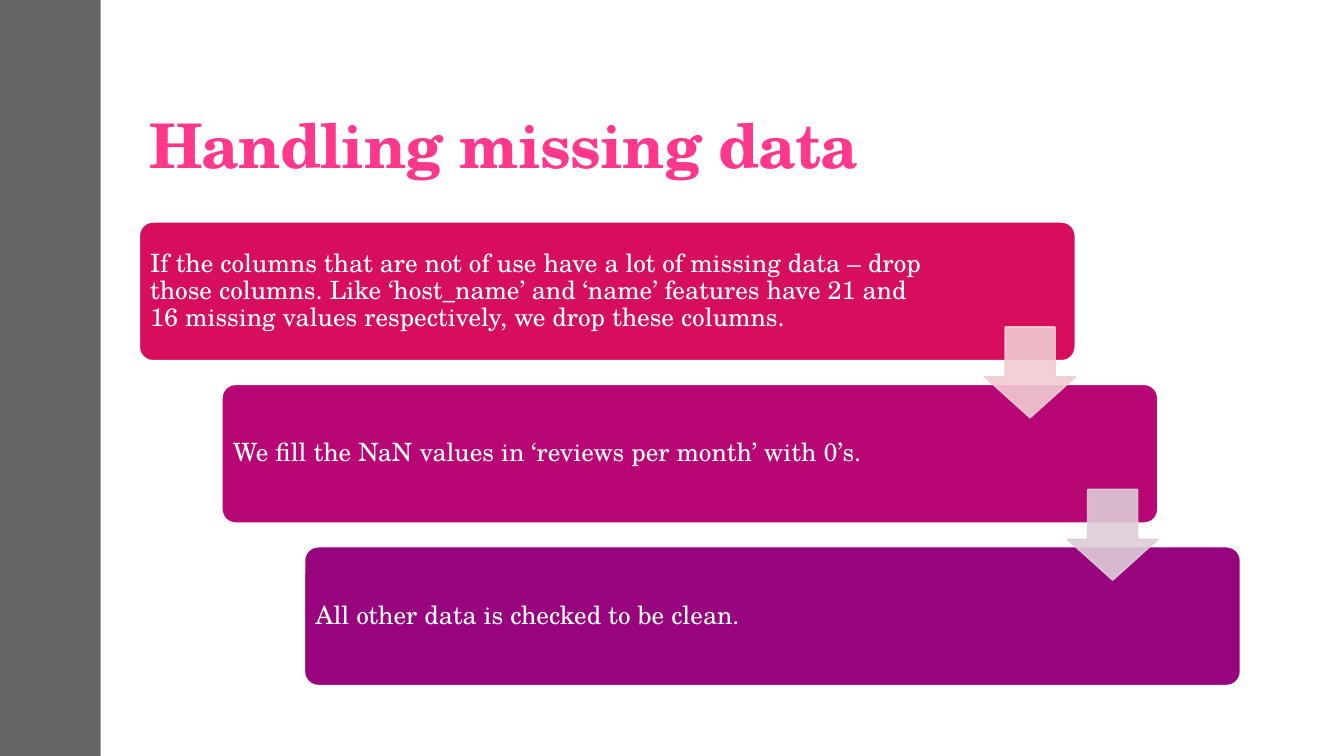
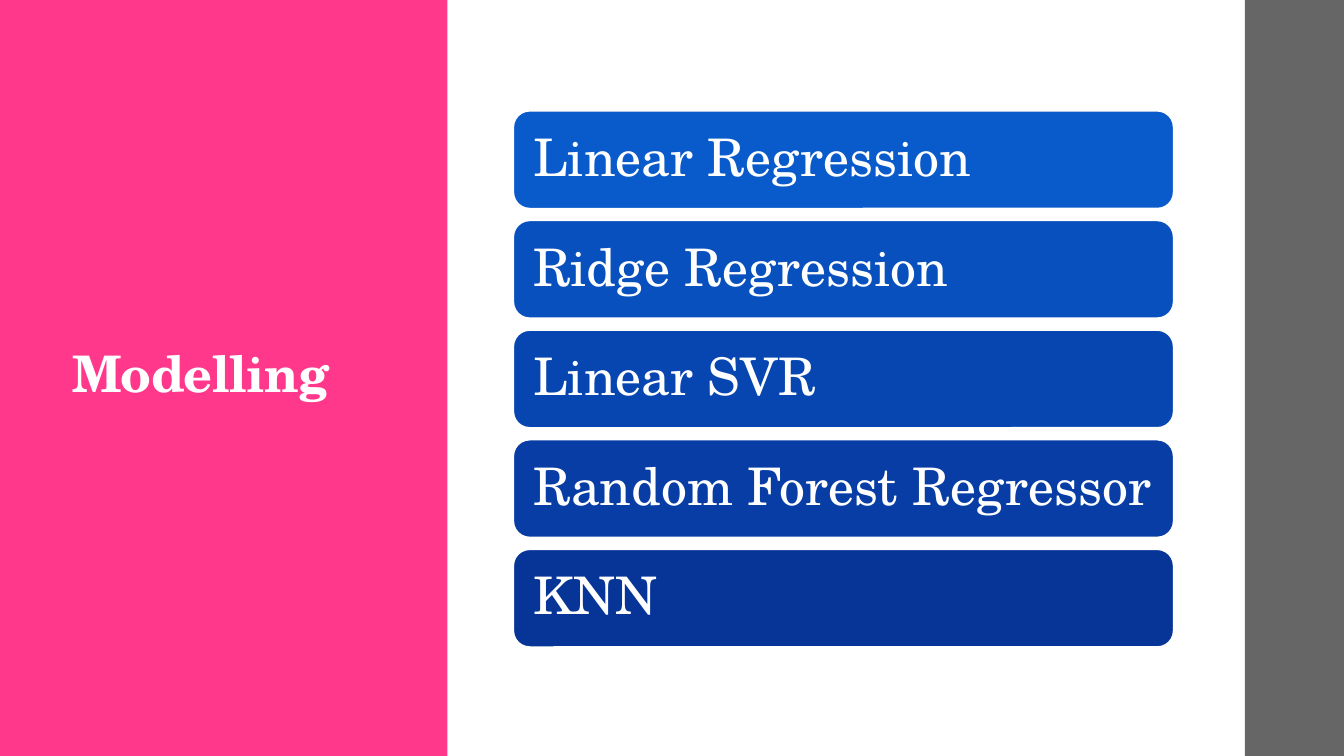
from dataclasses import dataclass

from lxml import etree
from pptx import Presentation
from pptx.dml.color import RGBColor
from pptx.enum.shapes import MSO_SHAPE
from pptx.enum.text import MSO_ANCHOR, PP_ALIGN
from pptx.oxml.ns import qn
from pptx.util import Pt

RECTANGLE = MSO_SHAPE.RECTANGLE
ROUNDED = MSO_SHAPE.ROUNDED_RECTANGLE
DOWN_ARROW = MSO_SHAPE.DOWN_ARROW
MIDDLE, BOTTOM = MSO_ANCHOR.MIDDLE, MSO_ANCHOR.BOTTOM
LEFT = PP_ALIGN.LEFT


@dataclass(frozen=True)
class Theme:
    font: str = "TeX Gyre Schola"
    white: str = "FFFFFF"
    pink: str = "FF388C"
    grey: str = "666666"
    title_size: float = 44
    side_title_size: float = 36
    step_size: float = 18
    model_size: float = 37
    title_spacing: float = -0.5


THEME = Theme()
SLIDE_WIDTH, SLIDE_HEIGHT = 960, 540
TITLE_MARGINS = (7.2, 2.2, 7.2, 3.6)

STEPS_TITLE = "Handling missing data"
STEPS = [
    ("If the columns that are not of use have a lot of missing data – drop those "
     "columns. Like ‘host_name’ and ‘name’ features have 21 and 16 missing values "
     "respectively, we drop these columns.", "D70D5E"),
    ("We fill the NaN values in ‘reviews per month’ with 0’s.", "B80774"),
    ("All other data is checked to be clean.", "98037E"),
]
STEP_ARROWS = ["F0CCD2", "DDCCD8"]

MODELS_TITLE = "Modelling"
MODELS = [
    ("Linear Regression", "095ACA"),
    ("Ridge Regression", "0850BD"),
    ("Linear SVR", "0746B1"),
    ("Random Forest Regressor", "073DA4"),
    ("KNN", "063597"),
]


def add_block(page, preset, area, fill, line=None, line_width=1.1):
    block = page.shapes.add_shape(preset, *(Pt(length) for length in area))
    block.shadow.inherit = False
    block.fill.solid()
    block.fill.fore_color.rgb = RGBColor.from_string(fill)
    if line:
        block.line.color.rgb = RGBColor.from_string(line)
        block.line.width = Pt(line_width)
    else:
        block.line.fill.background()
    return block


def write(box, text, size, color, margins, anchor=MIDDLE, bold=False, spacing=0):
    """Set one left-aligned paragraph; margins run left, top, right, bottom."""
    frame = box.text_frame
    frame.word_wrap = True
    frame.vertical_anchor = anchor
    (frame.margin_left, frame.margin_top,
     frame.margin_right, frame.margin_bottom) = (Pt(margin) for margin in margins)
    para = frame.paragraphs[0]
    para.alignment = LEFT
    para.line_spacing = 0.9
    span = para.add_run()
    span.text = text
    span.font.name = THEME.font
    span.font.size = Pt(size)
    span.font.bold = bold
    span.font.color.rgb = RGBColor.from_string(color)
    if spacing:
        span.font._element.set("spc", str(round(spacing * 100)))


def add_title(page, text, area, size, color, anchor):
    box = page.shapes.add_textbox(*(Pt(length) for length in area))
    write(box, text, size, color, TITLE_MARGINS, anchor, True, THEME.title_spacing)


def add_band(page, left, width, color=THEME.grey):
    add_block(page, RECTANGLE, (left, 0, width, SLIDE_HEIGHT), color)


def set_opacity(shape, percent):
    """Apply the opacity to the fill and the outline."""
    for color in shape._element.spPr.iter(qn("a:srgbClr")):
        etree.SubElement(color, qn("a:alpha")).set("val", str(percent * 1000))


def build_steps(page):
    left, top, width, height = 99.4, 158.4, 668.8, 99.4
    shift, pitch = 59, 116
    arrow_size, arrow_drop = 64.8, 75.2

    add_band(page, 0, 72)
    add_title(page, STEPS_TITLE, (left, 20.9, 787, 112.3),
              THEME.title_size, THEME.pink, BOTTOM)
    for index, (text, color) in enumerate(STEPS):
        area = (left + index * shift, top + index * pitch, width, height)
        box = add_block(page, ROUNDED, area, color, THEME.white, 1.35)
        box.adjustments[0] = 0.1
        write(box, text, THEME.step_size, THEME.white, (5, 5, 106, 5))
    for index, color in enumerate(STEP_ARROWS):
        area = (left + width + index * shift - arrow_size,
                top + index * pitch + arrow_drop, arrow_size, arrow_size)
        arrow = add_block(page, DOWN_ARROW, area, color, color)
        arrow.adjustments[0] = 0.55
        arrow.adjustments[1] = 0.45
        set_opacity(arrow, 90)


def build_models(page):
    left, top, width, height, pitch = 366.7, 79.2, 471.6, 69.8, 78.3
    band_left = 889.2

    add_band(page, 0, 319.6, THEME.pink)
    add_band(page, band_left, SLIDE_WIDTH - band_left)
    add_title(page, MODELS_TITLE, (44.6, 65.5, 213.8, 408.2),
              THEME.side_title_size, THEME.white, MIDDLE)
    for index, (text, color) in enumerate(MODELS):
        area = (left, top + index * pitch, width, height)
        box = add_block(page, ROUNDED, area, color, THEME.white)
        write(box, text, THEME.model_size, THEME.white, (10.8, 10.8, 7, 10.8))


def main():
    deck = Presentation()
    deck.slide_width, deck.slide_height = Pt(SLIDE_WIDTH), Pt(SLIDE_HEIGHT)
    blank = deck.slide_layouts[6]
    for build in (build_steps, build_models):
        build(deck.slides.add_slide(blank))
    deck.save("out.pptx")


if __name__ == "__main__":
    main()
